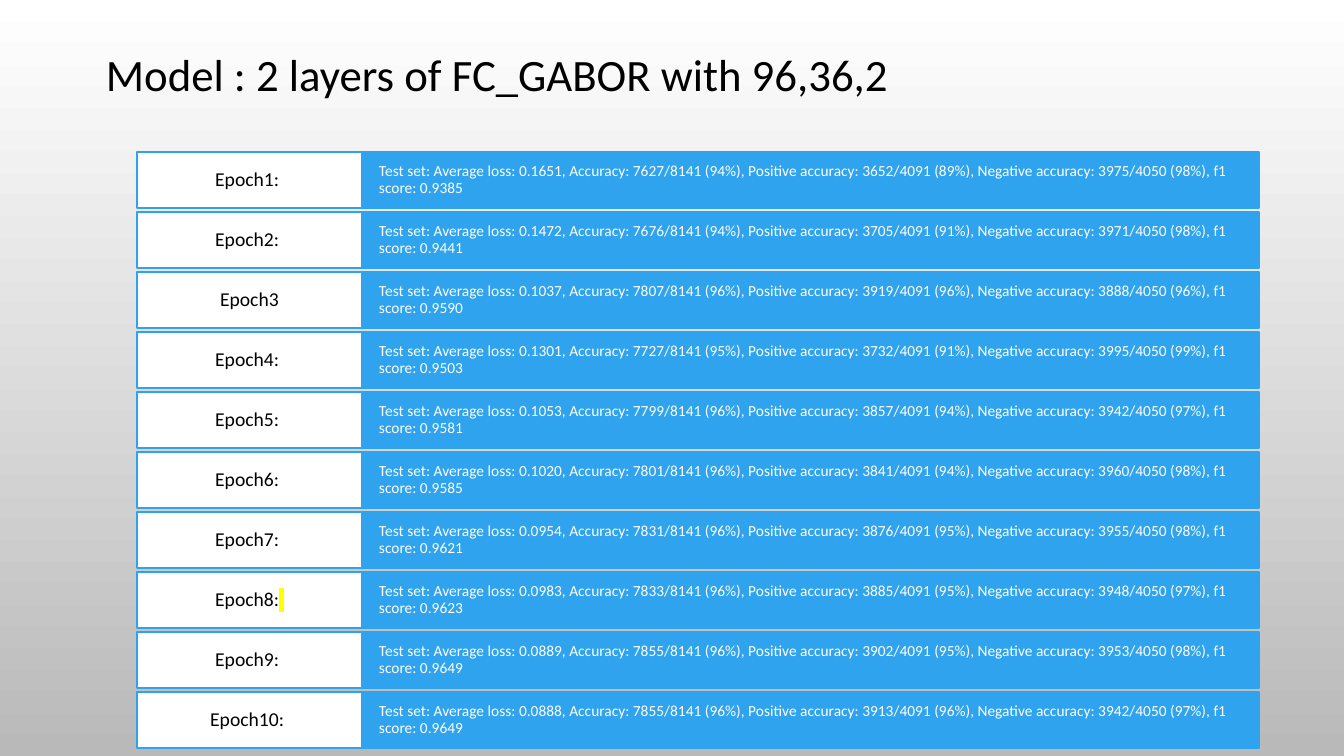
from dataclasses import dataclass

from lxml.etree import SubElement
from pptx import Presentation
from pptx.dml.color import RGBColor
from pptx.enum.shapes import MSO_SHAPE
from pptx.enum.text import MSO_ANCHOR, PP_ALIGN
from pptx.oxml.ns import qn
from pptx.slide import Slide
from pptx.util import Emu, Pt

SLIDE_W, SLIDE_H = 1344, 756
LABEL_X, LABEL_W = 137, 225
DETAIL_X, DETAIL_W = LABEL_X + LABEL_W, 897
ROW_TOP, ROW_H, ROW_PITCH = 152, 56, 60
POSITIVES, NEGATIVES = 4091, 4050


@dataclass(frozen=True)
class Theme:
    font: str = "Calibri"
    blue: str = "2FA3EE"
    white: str = "FFFFFF"
    black: str = "000000"
    grey: str = "B9B9B9"
    highlight: str = "FFFF00"
    title_size: int = 32
    label_size: int = 14
    detail_size: int = 11
    line_width: float = 1.25


THEME = Theme()


@dataclass(frozen=True)
class Epoch:
    label: str
    loss: str
    positive: int
    negative: int
    f1: str
    marked: bool = False

    def detail(self) -> str:
        accuracy = score(self.positive + self.negative, POSITIVES + NEGATIVES)
        return (f"Test set: Average loss: {self.loss}, Accuracy: {accuracy}, "
                f"Positive accuracy: {score(self.positive, POSITIVES)}, "
                f"Negative accuracy: {score(self.negative, NEGATIVES)}, "
                f"f1 score: {self.f1}")


@dataclass(frozen=True)
class CellStyle:
    left: int
    width: int
    fill: str
    color: str
    size: int
    inset_x: int
    inset_y: int
    align: PP_ALIGN


LABEL = CellStyle(LABEL_X, LABEL_W, THEME.white, THEME.black,
                  THEME.label_size, 12, 6, PP_ALIGN.CENTER)
DETAIL = CellStyle(DETAIL_X, DETAIL_W, THEME.blue, THEME.white,
                   THEME.detail_size, 17, 14, PP_ALIGN.LEFT)

EPOCHS = [
    Epoch("Epoch1: ", "0.1651", 3652, 3975, "0.9385"),
    Epoch("Epoch2: ", "0.1472", 3705, 3971, "0.9441"),
    Epoch("Epoch3", "0.1037", 3919, 3888, "0.9590"),
    Epoch("Epoch4: ", "0.1301", 3732, 3995, "0.9503"),
    Epoch("Epoch5: ", "0.1053", 3857, 3942, "0.9581"),
    Epoch("Epoch6: ", "0.1020", 3841, 3960, "0.9585"),
    Epoch("Epoch7: ", "0.0954", 3876, 3955, "0.9621"),
    Epoch("Epoch8:", "0.0983", 3885, 3948, "0.9623", marked=True),
    Epoch("Epoch9: ", "0.0889", 3902, 3953, "0.9649"),
    Epoch("Epoch10: ", "0.0888", 3913, 3942, "0.9649"),
]


def px(n: int) -> Emu:
    return Emu(round(n * 12192000 / SLIDE_W))


def rgb(value: str) -> RGBColor:
    return RGBColor.from_string(value)


def score(correct: int, total: int) -> str:
    return f"{correct}/{total} ({correct / total:.0%})"


def set_font(p, size: int, color: str) -> None:
    p.font.name = THEME.font
    p.font.size = Pt(size)
    p.font.color.rgb = rgb(color)


def add_background(s: Slide) -> None:
    fill = s.background.fill
    fill.gradient()
    fill.gradient_angle = 270
    for stop, color in zip(fill.gradient_stops, (THEME.white, THEME.grey)):
        stop.color.rgb = rgb(color)


def add_title(s: Slide, text: str) -> None:
    tf = s.shapes.add_textbox(px(96), px(42), px(1248), px(64)).text_frame
    tf.word_wrap = True
    p = tf.paragraphs[0]
    p.text = text
    set_font(p, THEME.title_size, THEME.black)


def add_cell(s: Slide, style: CellStyle, top: int, text: str):
    sp = s.shapes.add_shape(MSO_SHAPE.RECTANGLE, px(style.left), px(top),
                            px(style.width), px(ROW_H))
    sp.shadow.inherit = False
    sp.fill.solid()
    sp.fill.fore_color.rgb = rgb(style.fill)
    sp.line.color.rgb = rgb(THEME.blue)
    sp.line.width = Pt(THEME.line_width)
    tf = sp.text_frame
    tf.word_wrap = True
    tf.vertical_anchor = MSO_ANCHOR.MIDDLE
    tf.margin_left = tf.margin_right = px(style.inset_x)
    tf.margin_top = tf.margin_bottom = px(style.inset_y)
    p = tf.paragraphs[0]
    p.text = text
    p.alignment = style.align
    p.line_spacing = 0.9
    set_font(p, style.size, style.color)
    return p


def add_highlighted_space(p) -> None:
    r = p.add_run()
    r.text = " "
    highlight = SubElement(r.font._element, qn("a:highlight"))
    SubElement(highlight, qn("a:srgbClr"), val=THEME.highlight)


def add_epoch(s: Slide, epoch: Epoch, top: int) -> None:
    add_cell(s, DETAIL, top, epoch.detail())
    p = add_cell(s, LABEL, top, epoch.label)
    if epoch.marked:
        add_highlighted_space(p)


def main() -> None:
    prs = Presentation()
    prs.slide_width, prs.slide_height = px(SLIDE_W), px(SLIDE_H)
    s = prs.slides.add_slide(prs.slide_layouts[6])
    add_background(s)
    for i, epoch in enumerate(EPOCHS):
        add_epoch(s, epoch, ROW_TOP + i * ROW_PITCH)
    add_title(s, "Model : 2 layers of FC_GABOR with 96,36,2")
    prs.save("out.pptx")


if __name__ == "__main__":
    main()
